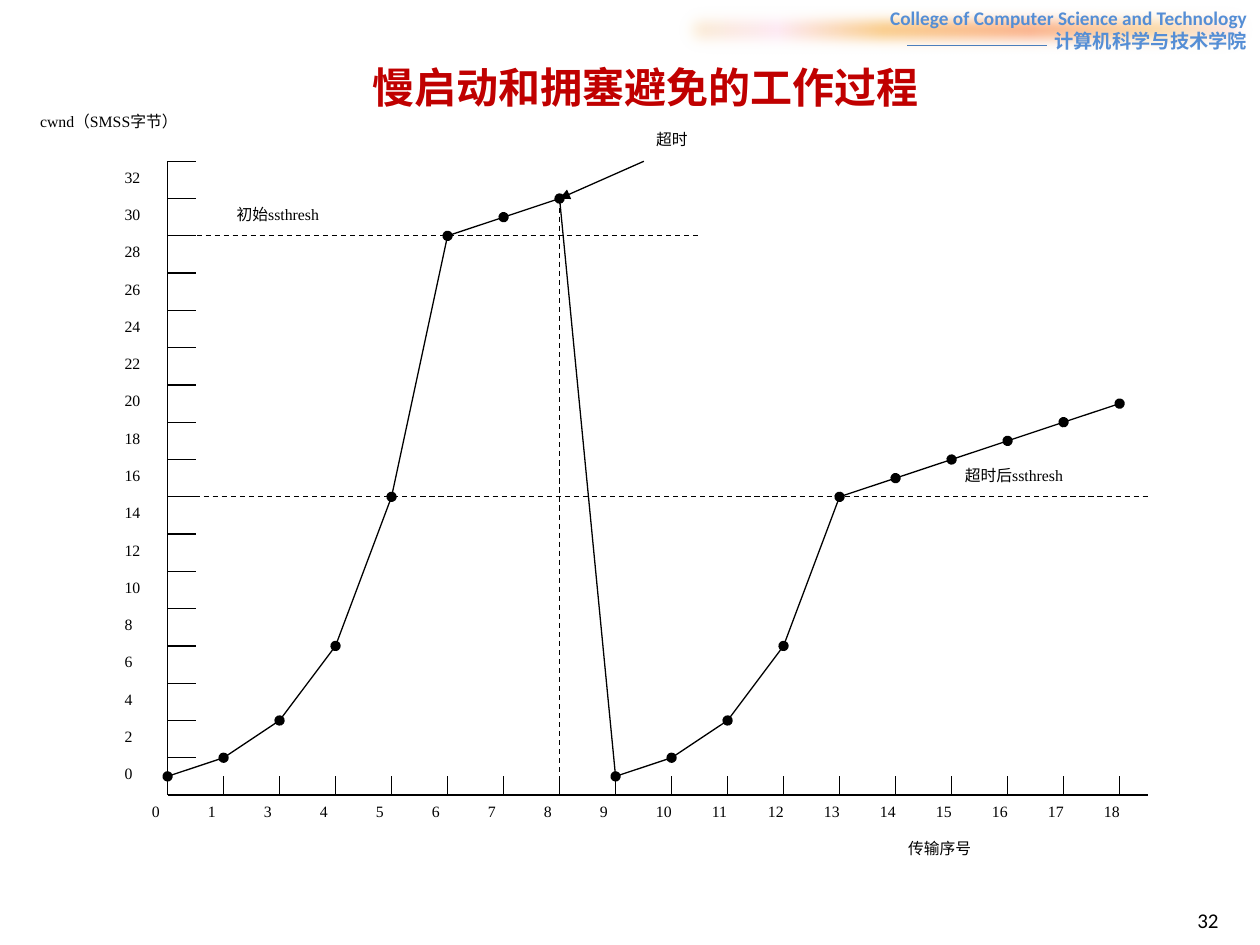
from lxml import etree
from pptx import Presentation
from pptx.dml.color import RGBColor
from pptx.enum.dml import MSO_LINE
from pptx.enum.shapes import MSO_CONNECTOR, MSO_SHAPE
from pptx.enum.text import MSO_ANCHOR, PP_ALIGN
from pptx.oxml.ns import qn
from pptx.util import Inches, Pt

STRAIGHT, RECTANGLE = MSO_CONNECTOR.STRAIGHT, MSO_SHAPE.RECTANGLE
DASH = MSO_LINE.DASH
TOP, MIDDLE = MSO_ANCHOR.TOP, MSO_ANCHOR.MIDDLE
JUSTIFY, CENTER, RIGHT = PP_ALIGN.JUSTIFY, PP_ALIGN.CENTER, PP_ALIGN.RIGHT

COLORS = {"ink": "000000", "title": "C00000", "header": "558ED5", "rule": "4B7EBC"}
BAND_STOPS = [(0, "FBEAC7"), (18, "FEE7F2"), (36, "FAC77D"),
              (61, "FBA97D"), (82, "FBD49C"), (100, "FEE7F2")]

# Content: congestion window by transmission, axis labels and captions
WINDOW = [1, 2, 4, 8, 16, 30, 31, 32, 1, 2, 4, 8, 16, 17, 18, 19, 20, 21]
X_LABELS = [0, 1] + list(range(3, 19))
Y_LABELS = list(range(0, 33, 2))
INITIAL_THRESHOLD, LATER_THRESHOLD = 30, 16
TIMEOUT = WINDOW.index(32)
HEADER = ["College of Computer Science and Technology", "计算机科学与技术学院"]

LABEL = {"size": 9, "name": "Times New Roman", "color": "ink"}
TITLE = {"size": 24, "name": "Times New Roman", "color": "title", "bold": True}
BANNER = {"size": 11, "name": "Calibri", "color": "header", "bold": True}
NUMBER = {"size": 12, "name": "Calibri", "color": "ink"}

CAPTIONS = [  # text, (left, top, width, height), format, alignment, anchor
    ("cwnd（SMSS字节）", (0.22, 0.84, 2.44, 0.44), LABEL, JUSTIFY, TOP),
    ("初始ssthresh", (1.78, 1.58, 1.78, 0.44), LABEL, JUSTIFY, TOP),
    ("超时后ssthresh", (7.56, 3.65, 2.22, 0.44), LABEL, JUSTIFY, TOP),
    ("传输序号", (7.11, 6.61, 2.44, 0.44), LABEL, JUSTIFY, TOP),
    ("超时", (5.11, 0.98, 0.89, 0.45), LABEL, JUSTIFY, TOP),
    ("慢启动和拥塞避免的工作过程", (0.79, 0.44, 8.67, 0.44), TITLE, CENTER, TOP),
    ("32", (7.44, 7.1, 2.33, 0.4), NUMBER, RIGHT, MIDDLE),
]

# Plot geometry
AXIS_LEFT, AXIS_RIGHT, AXIS_TOP, AXIS_BOTTOM = 1.33, 9.11, 1.28, 6.31
X_STEP = 4 / 9
Y_STEP = (AXIS_BOTTOM - AXIS_TOP) / 34

deck = Presentation()
deck.slide_width, deck.slide_height = Inches(10), Inches(7.5)
page = deck.slides.add_slide(deck.slide_layouts[6])


def x_at(index):
    return AXIS_LEFT + index * X_STEP


def y_at(value):
    return AXIS_BOTTOM - value * Y_STEP


def rgb(name):
    return RGBColor.from_string(COLORS[name])


def add_line(start, end, color="ink", dash=None, head=None, tail=None):
    ends = [Inches(length) for length in (*start, *end)]
    line = page.shapes.add_connector(STRAIGHT, *ends)
    line.line.color.rgb = rgb(color)
    line.line.width = Pt(0.75)
    if dash:
        line.line.dash_style = dash
    properties = line.element.spPr
    outline = properties.find(qn("a:ln"))
    for tag, kind in (("a:headEnd", head), ("a:tailEnd", tail)):
        if kind:
            etree.SubElement(outline, qn(tag), type=kind)
    etree.SubElement(properties, qn("a:effectLst"))


def write(shape, lines, style, align, anchor):
    frame = shape.text_frame
    frame.word_wrap = True
    frame.vertical_anchor = anchor
    for number, text in enumerate(lines):
        para = frame.add_paragraph() if number else frame.paragraphs[0]
        para.alignment = align
        span = para.add_run()
        span.text = text
        for key, value in style.items():
            if key == "color":
                span.font.color.rgb = rgb(value)
            else:
                setattr(span.font, key, Pt(value) if key == "size" else value)


def add_text(text, place, style=LABEL, align=JUSTIFY, anchor=TOP):
    box = page.shapes.add_textbox(*map(Inches, place))
    write(box, [text], style, align, anchor)


# Axes, ticks and tick labels
add_line((AXIS_LEFT, AXIS_TOP), (AXIS_LEFT, AXIS_BOTTOM))
add_line((AXIS_LEFT, AXIS_BOTTOM), (AXIS_RIGHT, AXIS_BOTTOM))
for label in Y_LABELS:
    y = y_at(label + 2)
    add_line((AXIS_LEFT, y), (AXIS_LEFT + X_STEP / 2, y))
    add_text(str(label), (0.89, y, 0.67, 0.44))
for index, label in enumerate(X_LABELS):
    x = x_at(index)
    if index:
        add_line((x, AXIS_BOTTOM), (x, y_at(1)))
    add_text(str(label), (x - X_STEP / 2, AXIS_BOTTOM, 0.67, 0.45))

# Thresholds and the timeout marker
peak = (x_at(TIMEOUT), y_at(WINDOW[TIMEOUT]))
for left, right, value in ((1.56, 5.56, INITIAL_THRESHOLD),
                           (AXIS_LEFT, AXIS_RIGHT, LATER_THRESHOLD)):
    add_line((left, y_at(value)), (right, y_at(value)), dash=DASH)
add_line(peak, (peak[0], y_at(1)), dash=DASH)
add_line((5.11, AXIS_TOP), peak, tail="triangle")

# Window curve
points = [(x_at(index), y_at(value)) for index, value in enumerate(WINDOW)]
for start, end in zip(points, points[1:]):
    add_line(start, end, head="oval", tail="oval" if end == points[-1] else None)

# Header band with soft edges
band = page.shapes.add_shape(RECTANGLE, Inches(5.33), 0, Inches(4.67), Inches(0.47))
band.shadow.inherit = False
band.line.fill.background()
band.fill.gradient()
band.fill.gradient_angle = 0
stops = band.element.spPr.find(qn("a:gradFill")).find(qn("a:gsLst"))
for stop in list(stops):
    stops.remove(stop)
for position, color in BAND_STOPS:
    stop = etree.SubElement(stops, qn("a:gs"), pos=str(position * 1000))
    etree.SubElement(stop, qn("a:srgbClr"), val=color)
effects = band.element.spPr.find(qn("a:effectLst"))
etree.SubElement(effects, qn("a:softEdge"), rad=str(Pt(10)))
write(band, HEADER, BANNER, RIGHT, MIDDLE)
add_line((7.2, 0.36), (8.31, 0.36), color="rule")

# Captions, title and page number
for caption in CAPTIONS:
    add_text(*caption)

deck.save("out.pptx")
